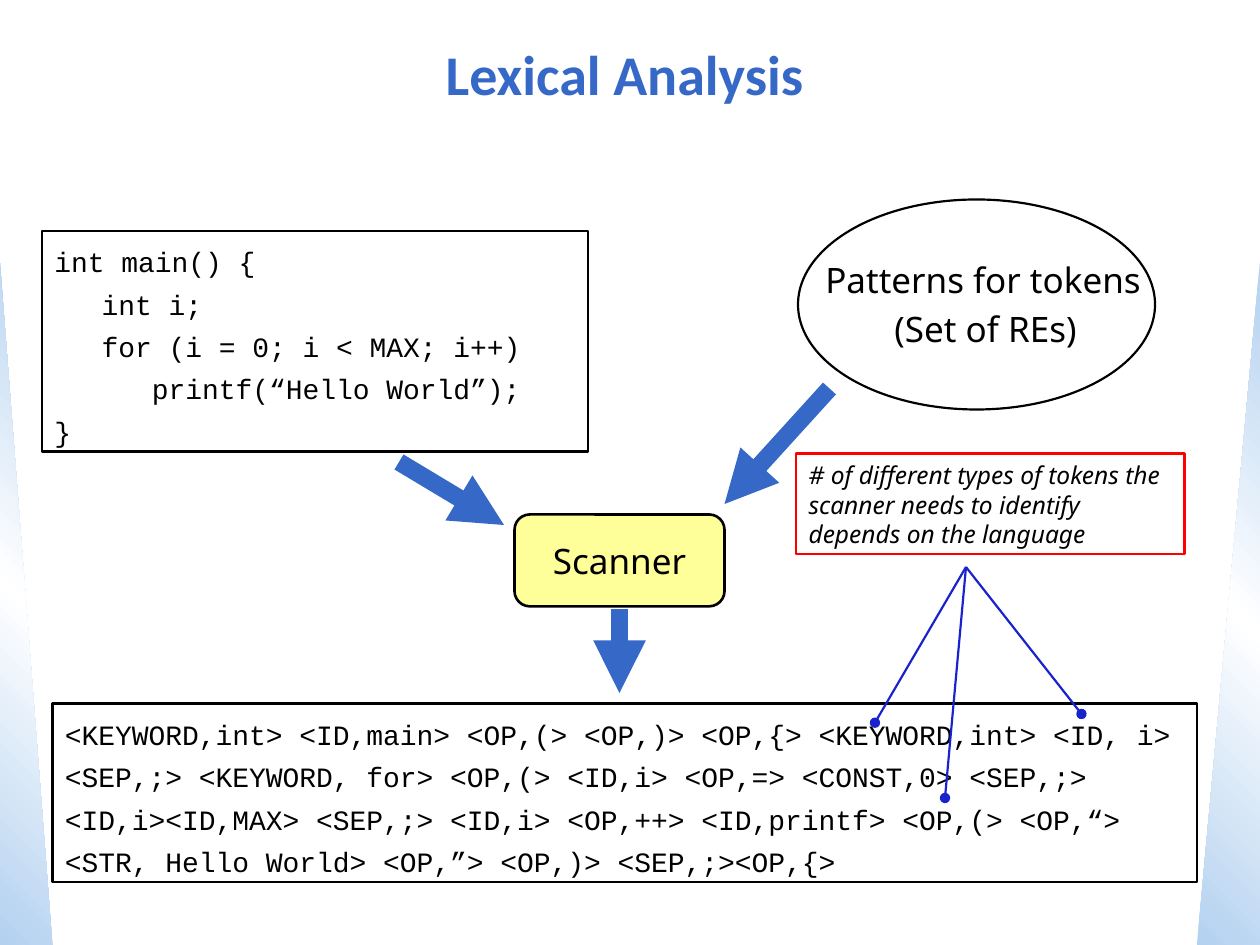
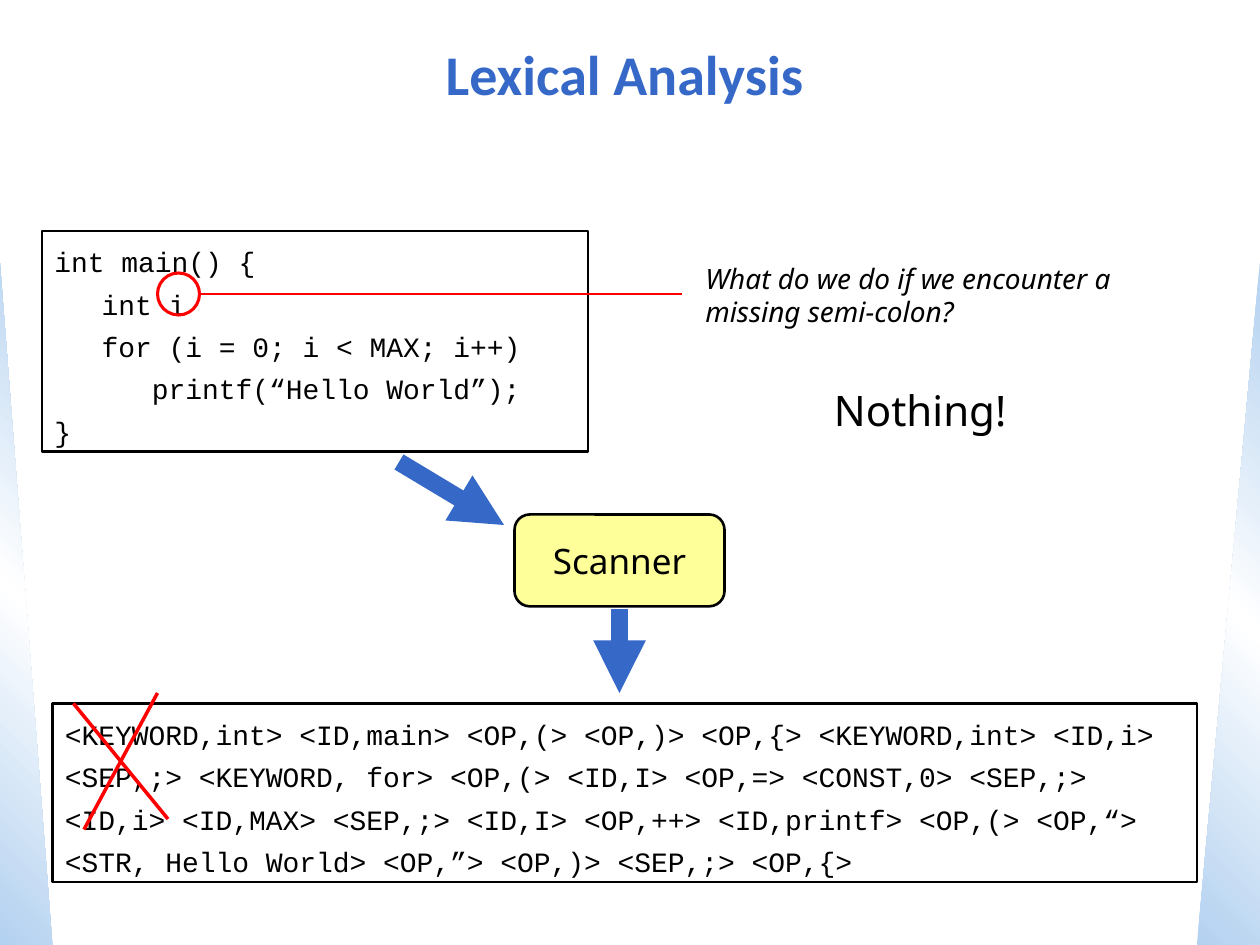
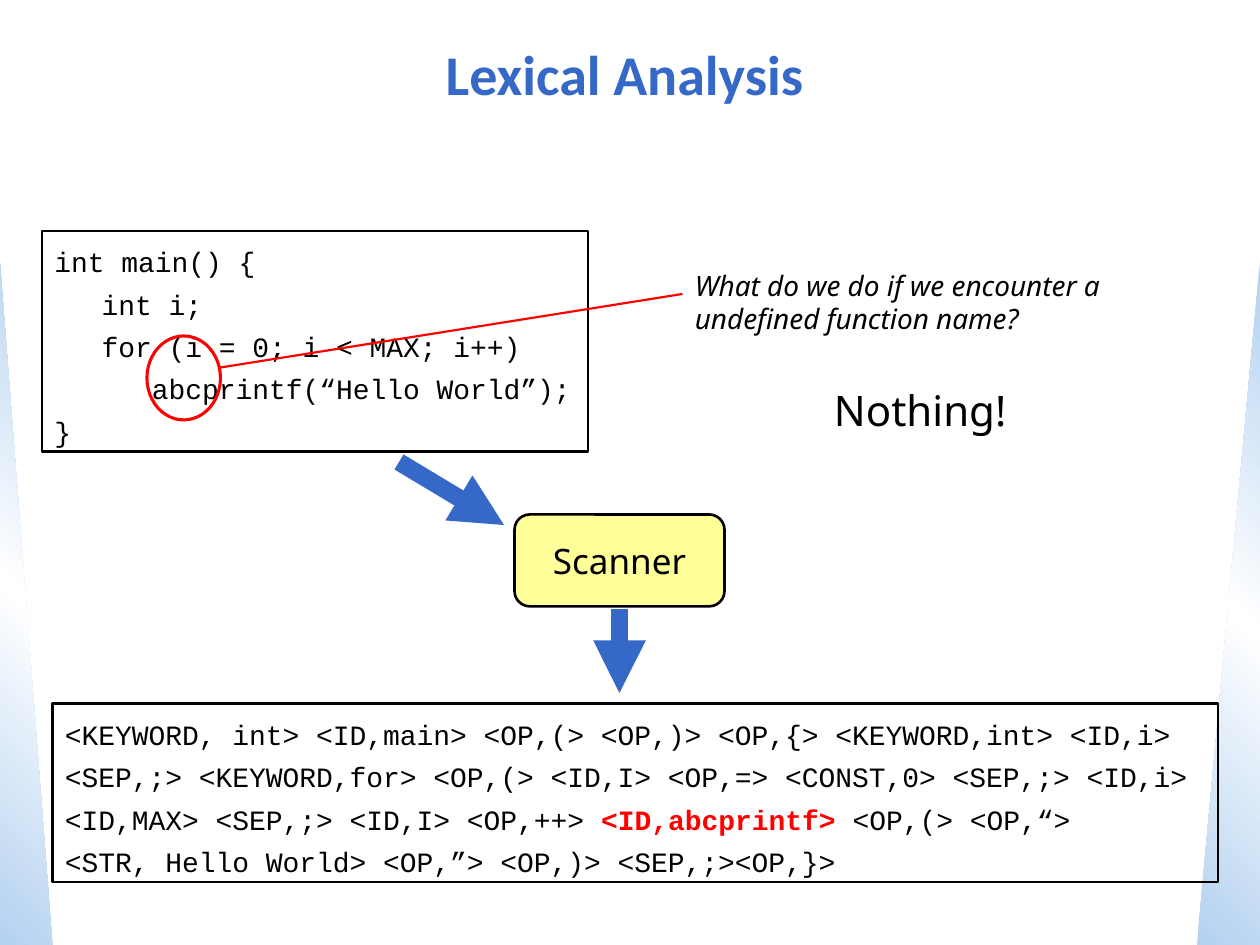
from copy import deepcopy
from dataclasses import dataclass

from lxml import etree
from pptx import Presentation
from pptx.dml.color import RGBColor
from pptx.enum import shapes as kinds, text as txt
from pptx.oxml import ns
from pptx.util import Pt


@dataclass(frozen=True)
class Theme:
    ink: str = "000000"
    blue: str = "3568C7"
    navy: str = "1822CD"
    red: str = "FF0000"
    yellow: str = "FFFF99"
    sky: str = "B3D1F0"
    white: str = "FFFFFF"
    head: str = "Calibri"
    body: str = "Noto Sans"
    mono: str = "Courier New"
    title: int = 32
    big: int = 24
    label: int = 20
    code: int = 16
    note: int = 14


T = Theme()
Kind = kinds.MSO_SHAPE
Align = txt.PP_ALIGN
Anchor = txt.MSO_ANCHOR

TOP = "int main() {"
LOOP = "\tfor (i = 0; i < MAX; i++)"
PRINT = "\t   printf(“Hello World”);"


def tint(hue):
    return RGBColor.from_string(hue)


def write(shape, lines, size=T.label, font=T.body, color=T.ink, bold=False,
          italic=False, align=Align.LEFT, anchor=Anchor.TOP, wrap=True,
          top=3.6, hang=0, gap=0, lead=None, hot=None):
    frame = shape.text_frame
    frame.auto_size = txt.MSO_AUTO_SIZE.NONE
    frame.word_wrap = wrap
    frame.vertical_anchor = anchor
    frame.margin_top = Pt(top)
    for i, line in enumerate(lines):
        para = frame.add_paragraph() if i else frame.paragraphs[0]
        para.alignment = align
        if lead:
            para.line_spacing = Pt(lead)
        if i and gap:
            para.space_before = Pt(gap)
        if hang:
            props = para._p.get_or_add_pPr()
            props.set("marL", str(Pt(hang)))
            props.set("indent", str(-Pt(hang)))
        for part in filter(None, line.partition(hot) if hot else [line]):
            run = para.add_run()
            run.text = part
            run.font.name = font
            run.font.size = Pt(size)
            run.font.bold = bold or part == hot
            run.font.italic = italic
            run.font.color.rgb = tint(T.red if part == hot else color)


def draw(slide, kind, x, y, w, h, line=T.ink, width=1.25, fill=None):
    shape = slide.shapes.add_shape(kind, Pt(x), Pt(y), Pt(w), Pt(h))
    shape.shadow.inherit = False
    if fill:
        shape.fill.solid()
        shape.fill.fore_color.rgb = tint(fill)
    else:
        shape.fill.background()
    if line:
        shape.line.color.rgb = tint(line)
        shape.line.width = Pt(width)
    else:
        shape.line.fill.background()
    return shape


def link(slide, start, end, color, width=1.25, tip=None):
    line = slide.shapes.add_connector(
        kinds.MSO_CONNECTOR.STRAIGHT, *map(Pt, start + end))
    line.line.color.rgb = tint(color)
    line.line.width = Pt(width)
    if tip:
        etree.SubElement(line.line._get_or_add_ln(), ns.qn("a:tailEnd"), type=tip)
    etree.SubElement(line.element.spPr, ns.qn("a:effectLst"))


def arrow(slide, start, end):
    link(slide, start, end, T.blue, 10, "triangle")


def label(slide, x, y, w, h, words, size=T.label, **style):
    box = slide.shapes.add_textbox(Pt(x), Pt(y), Pt(w), Pt(h))
    write(box, [words], size, lead=round(size * 1.2), **style)


def listing(slide, x, y, w, h, lines, hot=None):
    box = draw(slide, Kind.RECTANGLE, x, y, w, h)
    write(box, lines, T.code, T.mono, top=8, hang=27, gap=5, hot=hot)


def band(slide, layout, x, w, angle, flip):
    shape = draw(slide, Kind.RIGHT_TRIANGLE, x, 150, w, 390, line=None)
    shape.fill.gradient()
    stops = shape.element.xpath(".//a:gsLst")[0]
    stops.insert(1, deepcopy(stops[0]))
    hues = (T.sky, T.white, T.sky)
    for i, (stop, hue) in enumerate(zip(shape.fill.gradient_stops, hues)):
        stop.position = i / 2
        stop.color.rgb = tint(hue)
    shape.fill.gradient_angle = 360 - angle
    if flip:
        shape.element.xpath(".//a:xfrm")[0].set("flipH", "1")
    layout.shapes.element.insert(2, shape.element)


def flow(deck, code, tokens, wide=654, hot=None):
    slide = deck.slides.add_slide(deck.slide_layouts[5])
    write(slide.shapes.title, ["Lexical Analysis"], T.title, T.head, T.blue,
          bold=True, align=Align.CENTER, anchor=Anchor.MIDDLE)
    listing(slide, 24, 132, 312, 126, code)
    scan = draw(slide, Kind.ROUNDED_RECTANGLE, 294, 294, 120, 52.5,
                width=1.5, fill=T.yellow)
    write(scan, ["Scanner"], align=Align.CENTER, anchor=Anchor.MIDDLE, wrap=False)
    listing(slide, 30, 402, wide, 102, tokens, hot)
    arrow(slide, (354, 348), (354, 396))
    arrow(slide, (228, 264), (288, 300))
    return slide


def ask(slide, words, spot, ring, start):
    draw(slide, Kind.OVAL, *ring, line=T.red, width=1.75)
    link(slide, start, (390, 168), T.red)
    label(slide, *spot, words, T.code, italic=True)
    label(slide, 469.5, 216, 113, 36, "Nothing!", T.big, wrap=False)


def cross(slide):
    link(slide, (48, 474), (90, 396), T.red, 2)
    link(slide, (96, 468), (42, 402), T.red, 2)


def rules(slide):
    draw(slide, Kind.OVAL, 456, 114, 204, 120)
    label(slide, 464.5, 144, 194.5, 32, "Patterns for tokens", wrap=False)
    label(slide, 504, 172, 118, 32, "(Set of REs)", wrap=False)
    arrow(slide, (474, 222), (414, 288))
    for end in ((500, 413), (540, 456), (618, 408)):
        link(slide, (552, 324), end, T.navy, tip="oval")
    note = draw(slide, Kind.RECTANGLE, 455, 259, 222, 57.6, T.red, 1.5)
    write(note, ["# of different types of tokens the scanner needs to identify "
                 "depends on the language"], T.note, italic=True, lead=17)


def main():
    deck = Presentation()
    deck.slide_width, deck.slide_height = Pt(720), Pt(540)
    layout = deck.slide_layouts[5]
    head = layout.placeholders[0]
    head.left, head.top, head.width, head.height = map(Pt, (18, 12, 678, 60))

    first = flow(deck, [TOP, "\tint i;", LOOP, PRINT, "}"], [
        "<KEYWORD,int> <ID,main> <OP,(> <OP,)> <OP,{> <KEYWORD,int> <ID, i>",
        "<SEP,;> <KEYWORD, for> <OP,(> <ID,i> <OP,=> <CONST,0> <SEP,;>",
        "<ID,i><ID,MAX> <SEP,;> <ID,i> <OP,++> <ID,printf> <OP,(> <OP,“>",
        "<STR, Hello World> <OP,”> <OP,)> <SEP,;><OP,{>"])
    rules(first)
    band(first, layout, 0, 30, 135, False)
    band(first, layout, 684, 36, 225, True)

    semi = flow(deck, [TOP, "\tint i", LOOP, PRINT, "}"], [
        "<KEYWORD,int> <ID,main> <OP,(> <OP,)> <OP,{> <KEYWORD,int> <ID,i>",
        "<SEP,;> <KEYWORD, for> <OP,(> <ID,I> <OP,=> <CONST,0> <SEP,;>",
        "<ID,i> <ID,MAX> <SEP,;> <ID,I> <OP,++> <ID,printf> <OP,(> <OP,“>",
        "<STR, Hello World> <OP,”> <OP,)> <SEP,;> <OP,{>"])
    ask(semi, "What do we do if we encounter a missing semi-colon?",
        (396, 146, 276, 46), (90, 156, 24, 24), (114, 168))
    cross(semi)

    name = flow(deck, [TOP, "\tint i;", LOOP,
                       "\t   abcprintf(“Hello World”);", "}"], [
        "<KEYWORD, int> <ID,main> <OP,(> <OP,)> <OP,{> <KEYWORD,int> <ID,i>",
        "<SEP,;> <KEYWORD,for> <OP,(> <ID,I> <OP,=> <CONST,0> <SEP,;> <ID,i>",
        "<ID,MAX> <SEP,;> <ID,I> <OP,++> <ID,abcprintf> <OP,(> <OP,“>",
        "<STR, Hello World> <OP,”> <OP,)> <SEP,;><OP,}>"],
        wide=666, hot="<ID,abcprintf>")
    ask(name, "What do we do if we encounter a undefined function name?",
        (390, 150, 258, 46), (84, 192, 42, 48), (126, 210))

    deck.save("out.pptx")


if __name__ == "__main__":
    main()
